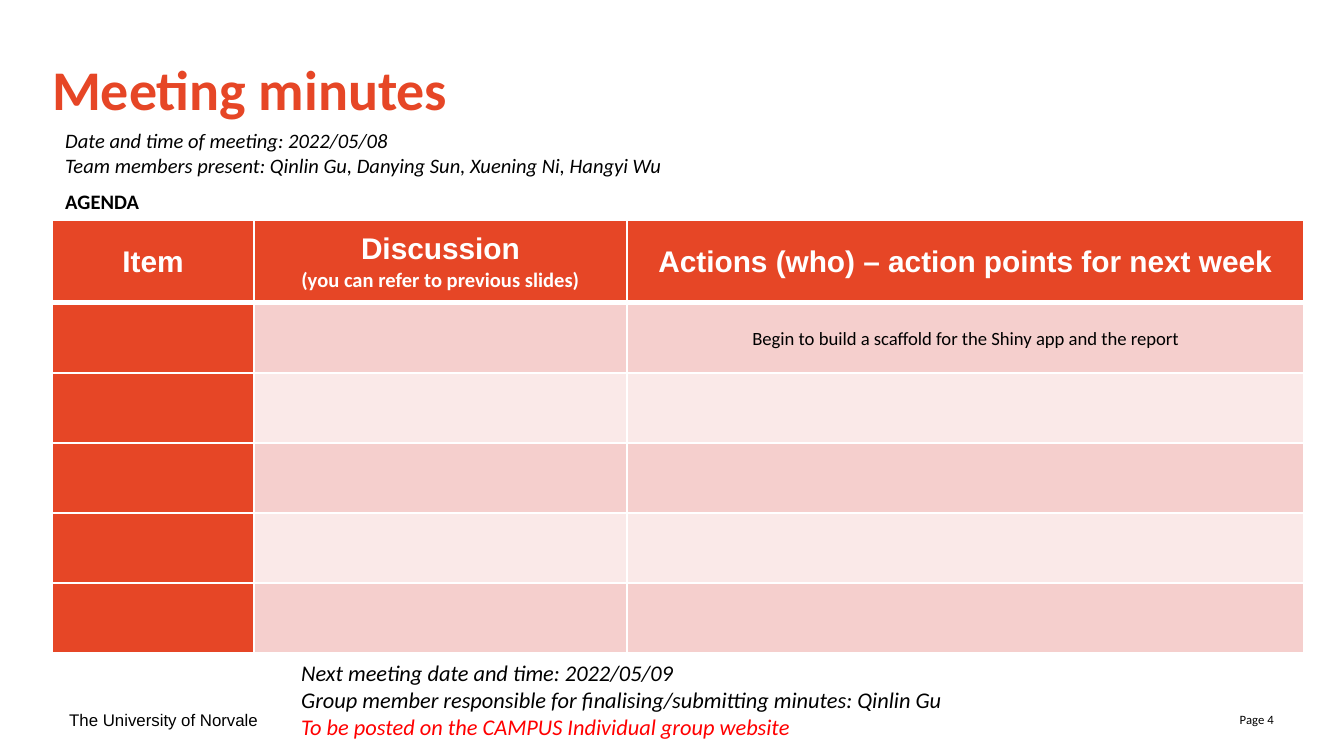
from lxml.etree import SubElement
from pptx import Presentation
from pptx.dml.color import RGBColor
from pptx.enum.text import MSO_ANCHOR, PP_ALIGN
from pptx.oxml import parse_xml
from pptx.oxml.ns import nsdecls
from pptx.util import Emu, Pt

EMU_PER_PX = 914400 / 134.4
ORANGE, WHITE, BLACK, RED = "E64626", "FFFFFF", "000000", "FF0000"
BANDS = ["F5CFCD", "FAE9E8"]
COLUMN_WIDTHS = [202, 373, 677]
ROW_HEIGHTS = [83] + [70] * 5
CELL_TEXTS = {
    (0, 0): [("Item", 16, "Arial")],
    (0, 1): [("Discussion", 16, "Arial"),
             ("(you can refer to previous slides)", 11, "Calibri")],
    (0, 2): [("Actions (who) – action points for next week", 16, "Arial")],
    (1, 2): [("Begin to build a scaffold for the Shiny app and the report",
              10, "Calibri")],
}


def px(length):
    return Emu(round(length * EMU_PER_PX))


def colour(value):
    return RGBColor.from_string(value)


def add_span(para, text, size, font="Calibri", ink=BLACK, bold=False, italic=False):
    span = para.add_run()
    span.text = text
    span.font.size = Pt(size)
    span.font.name = font
    span.font.bold = bold
    span.font.italic = italic
    span.font.color.rgb = colour(ink)


def next_para(frame, index):
    return frame.add_paragraph() if index else frame.paragraphs[0]


def add_title(page, text):
    title = page.shapes.title
    title.left, title.top, title.width, title.height = px(52), px(55), px(1239), px(71)
    frame = title.text_frame
    frame.margin_left = frame.margin_right = frame.margin_top = frame.margin_bottom = 0
    frame.vertical_anchor = MSO_ANCHOR.TOP
    para = frame.paragraphs[0]
    para.alignment = PP_ALIGN.LEFT
    add_span(para, text, 30, ink=ORANGE, bold=True)


def add_text(page, left, top, width, height, lines, anchor=MSO_ANCHOR.MIDDLE,
             align=PP_ALIGN.LEFT):
    box = page.shapes.add_textbox(px(left), px(top), px(width), px(height))
    frame = box.text_frame
    frame.word_wrap = True
    frame.vertical_anchor = anchor
    for index, (text, style) in enumerate(lines):
        para = next_para(frame, index)
        para.alignment = align
        add_span(para, text, **style)
    return box


def set_borders(cell, top, bottom):
    properties = cell._tc.get_or_add_tcPr()
    sides = [("L", 1), ("R", 1), ("T", top), ("B", bottom)]
    for index, (side, points) in enumerate(sides):
        line = parse_xml(
            f'<a:ln{side} {nsdecls("a")} w="{Pt(points)}"><a:solidFill>'
            f'<a:srgbClr val="{WHITE}"/></a:solidFill></a:ln{side}>')
        properties.insert(index, line)


def fill_cell(cell, row, column):
    header = row == 0
    cell.fill.solid()
    cell.fill.fore_color.rgb = colour(
        ORANGE if header or column == 0 else BANDS[(row - 1) % 2])
    set_borders(cell, 3 if row == 1 else 1, 3 if header else 1)
    cell.margin_left = cell.margin_right = px(12)
    cell.margin_top = cell.margin_bottom = 0
    cell.vertical_anchor = MSO_ANCHOR.MIDDLE
    for index, (text, size, font) in enumerate(CELL_TEXTS.get((row, column), [])):
        para = next_para(cell.text_frame, index)
        para.alignment = PP_ALIGN.CENTER
        para.line_spacing = 1.07
        add_span(para, text, size, font, WHITE if header else BLACK, bold=header)


def add_agenda(page):
    frame = page.shapes.add_table(
        len(ROW_HEIGHTS), len(COLUMN_WIDTHS), px(52), px(220),
        px(sum(COLUMN_WIDTHS)), px(sum(ROW_HEIGHTS)))
    table = frame.table
    for column, width in zip(table.columns, COLUMN_WIDTHS):
        column.width = px(width)
    for row, height in zip(table.rows, ROW_HEIGHTS):
        row.height = px(height)
    for row in range(len(ROW_HEIGHTS)):
        for column in range(len(COLUMN_WIDTHS)):
            fill_cell(table.cell(row, column), row, column)


def main():
    deck = Presentation()
    deck.slide_width, deck.slide_height = px(1344), px(756)
    page = deck.slides.add_slide(deck.slide_layouts[5])

    add_text(page, 974, 700, 313, 40, [("Page 4", {"size": 6.8})],
             align=PP_ALIGN.RIGHT)
    add_text(page, 56, 700, 313, 40,
             [("The University of Norvale", {"size": 9, "font": "Arial"})])
    add_title(page, "Meeting minutes")
    add_agenda(page)

    detail = {"size": 11, "italic": True}
    details = add_text(page, 52, 121, 691, 99, [
        ("Date and time of meeting: 2022/05/08", detail),
        ("Team members present: Qinlin Gu, Danying Sun, Xuening Ni, Hangyi Wu", detail),
        ("AGENDA", {"size": 11, "bold": True}),
    ])
    details.text_frame.paragraphs[-1].space_before = Pt(6)

    note = {"size": 12, "italic": True}
    add_text(page, 288, 653, 855, 95, [
        ("Next meeting date and time: 2022/05/09", note),
        ("Group member responsible for finalising/submitting minutes: Qinlin Gu", note),
        ("To be posted on the CAMPUS Individual group website", {**note, "ink": RED}),
    ], anchor=MSO_ANCHOR.TOP)

    deck.save("out.pptx")


if __name__ == "__main__":
    main()
